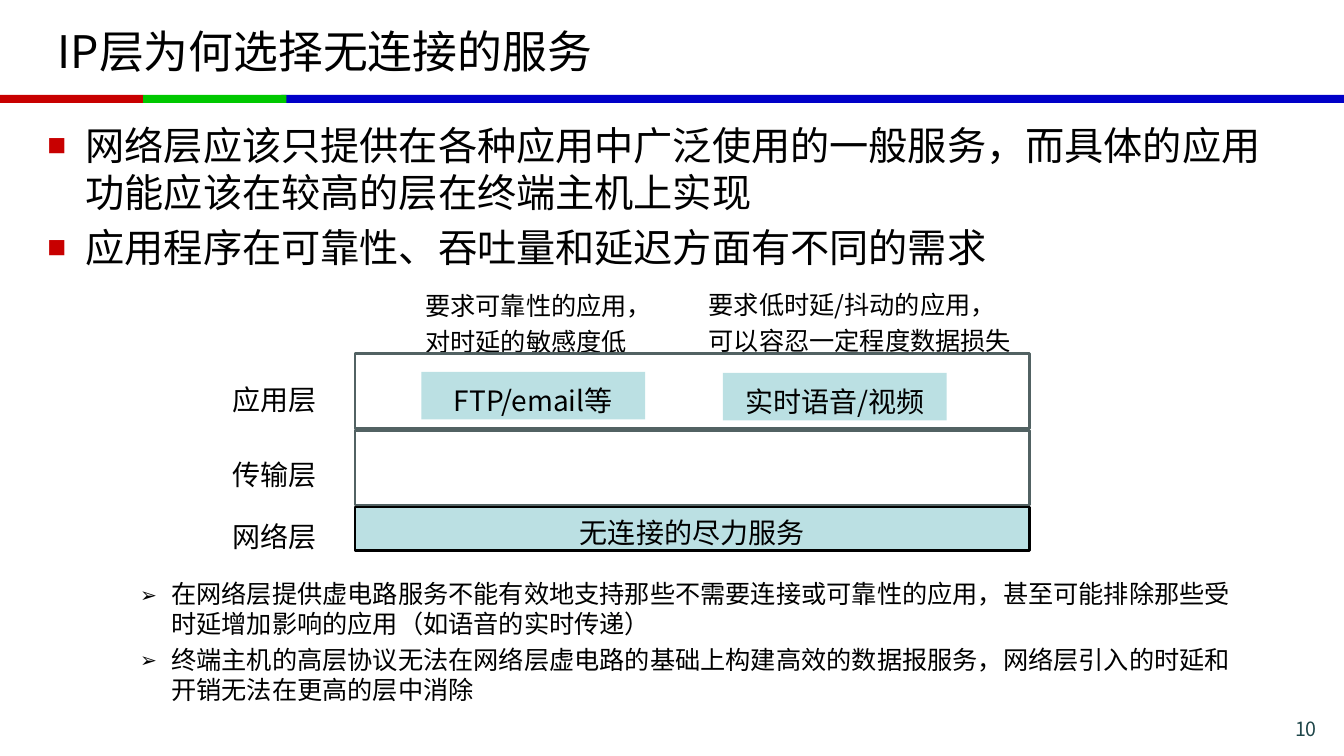
"""Build the slide on why the IP layer offers a connectionless service."""
from lxml import etree
from pptx import Presentation
from pptx.dml.color import RGBColor
from pptx.enum.shapes import MSO_SHAPE
from pptx.enum.text import MSO_ANCHOR, MSO_AUTO_SIZE, PP_ALIGN
from pptx.oxml.ns import qn
from pptx.util import Inches, Pt

RECT = MSO_SHAPE.RECTANGLE
LEFT, MID, RIGHT = PP_ALIGN.LEFT, PP_ALIGN.CENTER, PP_ALIGN.RIGHT
TOP, CENTER = MSO_ANCHOR.TOP, MSO_ANCHOR.MIDDLE
FIXED = MSO_AUTO_SIZE.NONE
FONT = "Noto Sans CJK SC"
TIGHT, LOOSE = 1.0, 1.2
COLORS = {
    "black": "000000", "red": "C80000", "green": "00C800", "blue": "0000C8",
    "pale": "BBE0E3", "slate": "526263", "teal": "1E4649",
}
BARS = [(2.79, 10.54, "blue"), (0, 1.42, "red"), (1.42, 1.42, "green")]
POINTS = [
    "网络层应该只提供在各种应用中广泛使用的一般服务，而具体的应用功能应该在较高的层在终端主机上实现",
    "应用程序在可靠性、吞吐量和延迟方面有不同的需求",
]
REASONS = [
    "在网络层提供虚电路服务不能有效地支持那些不需要连接或可靠性的应用，甚至可能排除那些受时延增加影响的应用（如语音的实时传递）",
    "终端主机的高层协议无法在网络层虚电路的基础上构建高效的数据报服务，网络层引入的时延和开销无法在更高的层中消除",
]
NEEDS = [
    (4.12, 2.77, 2.63, "要求可靠性的应用，对时延的敏感度低"),
    (6.93, 2.76, 3.28, "要求低时延/抖动的应用，可以容忍一定程度数据损失"),
]
LAYERS = [(3.68, "应用层"), (4.42, "传输层"), (5.04, "网络层")]
APPS = [(4.18, 3.69, "FTP/email等"), (7.17, 3.7, "实时语音/视频")]


def color(name):
    """Return the named colour."""
    return RGBColor.from_string(COLORS[name])


def place(shape, at):
    """Move and size a shape, in inches."""
    shape.left, shape.top, shape.width, shape.height = map(Inches, at)


def write(par, text, size, tint="black", align=LEFT, space=LOOSE):
    """Add one formatted run to a paragraph."""
    par.alignment = align
    par.line_spacing = space
    run = par.add_run()
    run.text = text
    run.font.name = FONT
    run.font.size = Pt(size)
    run.font.color.rgb = color(tint)
    etree.SubElement(run.font._element, qn("a:ea"), typeface=FONT)


def frame(shape, anchor=TOP, wrap=True):
    """Set up the text frame of a shape and return its first paragraph."""
    text = shape.text_frame
    text.word_wrap = wrap
    text.auto_size = FIXED
    text.vertical_anchor = anchor
    return text.paragraphs[0]


def bullet(par, mark, face, tint, indent, hang):
    """Give a paragraph a coloured bullet and a hanging indent."""
    props = par._p.get_or_add_pPr()
    props.set("marL", str(Inches(indent)))
    props.set("indent", str(-Inches(hang)))
    shade = etree.SubElement(props, qn("a:buClr"))
    etree.SubElement(shade, qn("a:srgbClr"), val=COLORS[tint])
    etree.SubElement(props, qn("a:buSzPct"), val="80000")
    etree.SubElement(props, qn("a:buFont"), typeface=face)
    etree.SubElement(props, qn("a:buChar"), char=mark)


def fill_list(shape, items, size, mark, face, tint, indent, hang, level=0):
    """Write a bulleted list into a shape."""
    par = frame(shape)
    for index, item in enumerate(items):
        if index:
            par = shape.text_frame.add_paragraph()
        par.level = level
        par.space_before = Pt(size * 0.2)
        write(par, item, size, space=TIGHT)
        bullet(par, mark, face, tint, indent, hang)


def add_text(slide, at):
    """Add an empty text box."""
    return slide.shapes.add_textbox(*map(Inches, at))


def add_box(slide, at, fill=None, line=None):
    """Add a plain rectangle."""
    box = slide.shapes.add_shape(RECT, *map(Inches, at))
    box.shadow.inherit = False
    if fill:
        box.fill.solid()
        box.fill.fore_color.rgb = color(fill)
    else:
        box.fill.background()
    if line:
        box.line.color.rgb = color(line)
        box.line.width = Pt(2)
    else:
        box.line.fill.background()
    return box


def add_stack(slide):
    """Draw the layer diagram with its labels."""
    for left, top, width, text in NEEDS:
        write(frame(add_text(slide, (left, top, width, 0.79))), text, 18)
    net = add_box(slide, (3.52, 5.03, 6.69, 0.43), "pale", "black")
    write(frame(net, CENTER), "无连接的尽力服务", 20, align=MID)
    for top in (3.51, 4.27):
        add_box(slide, (3.52, top, 6.69, 0.74), line="slate")
    for top, text in LAYERS:
        label = add_text(slide, (2.21, top, 1.04, 0.47))
        write(frame(label, wrap=False), text, 20)
    for left, top, text in APPS:
        app = add_box(slide, (left, top, 2.22, 0.47), "pale")
        write(frame(app), text, 20, align=MID)


def main():
    """Build and save the slide."""
    deck = Presentation()
    deck.slide_width, deck.slide_height = Inches(13.33), Inches(7.5)
    slide = deck.slides.add_slide(deck.slide_layouts[1])
    for left, width, tint in BARS:
        add_box(slide, (left, 0.94, width, 0.08), tint)
    title, body = slide.shapes.title, slide.placeholders[1]
    place(title, (0.47, 0.08, 12.39, 0.84))
    write(frame(title, CENTER), "IP层为何选择无连接的服务", 32, space=TIGHT)
    place(body, (0.37, 1.15, 12.6, 1.87))
    fill_list(body, POINTS, 28, "■", "Arial", "red", 0.38, 0.38)
    add_stack(slide)
    notes = add_text(slide, (0.79, 5.69, 11.75, 1.4))
    fill_list(notes, REASONS, 18, "➢", FONT, "black", 0.81, 0.31, 1)
    number = add_text(slide, (11.86, 7.06, 1.3, 0.28))
    write(frame(number), "10", 14, "teal", RIGHT, TIGHT)
    deck.save("out.pptx")


if __name__ == "__main__":
    main()
